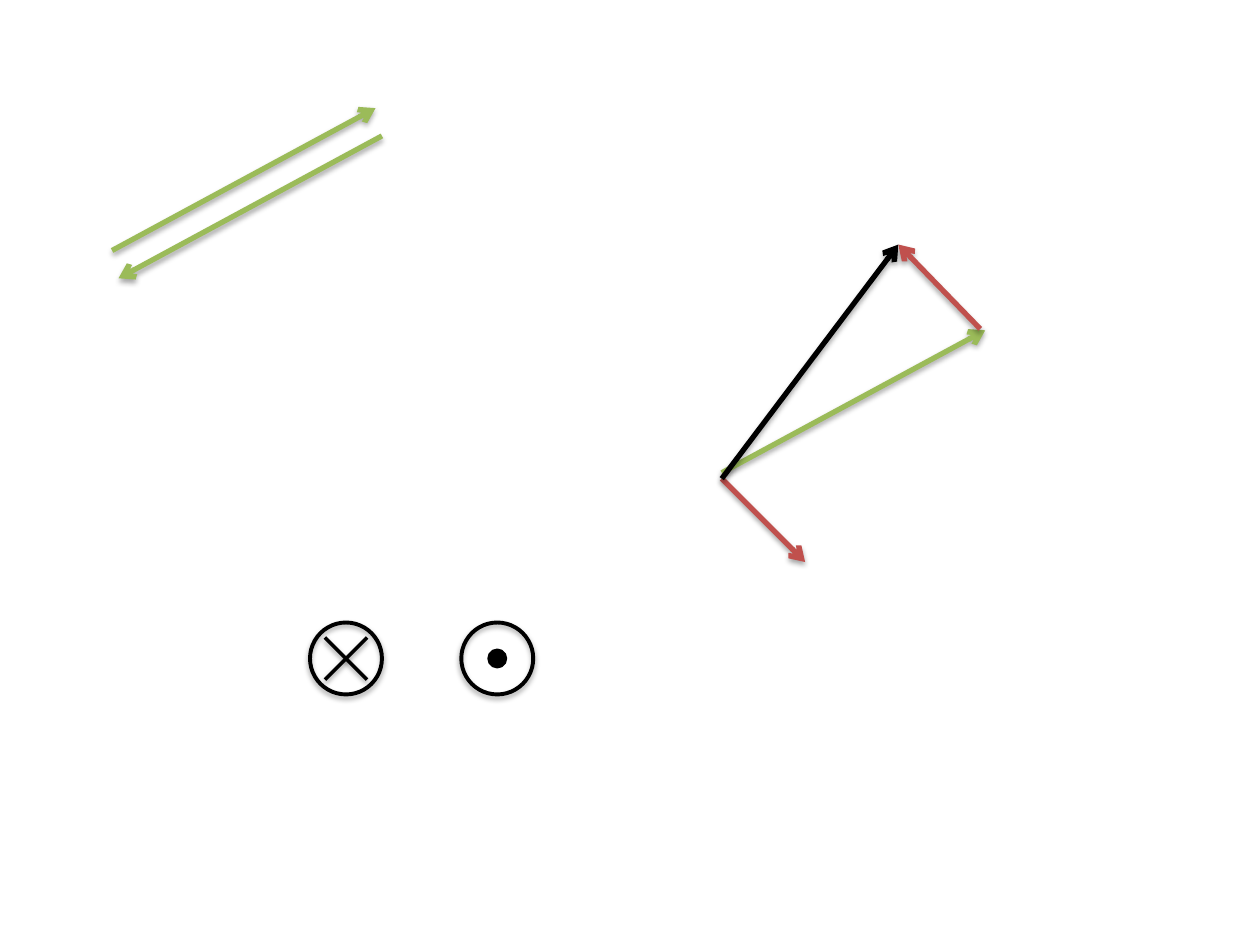
from dataclasses import dataclass

from lxml.etree import SubElement
from pptx import Presentation
from pptx.dml.color import RGBColor as Rgb
from pptx.enum.shapes import MSO_CONNECTOR as Connector, MSO_SHAPE as Preset
from pptx.oxml.ns import qn
from pptx.util import Cm, Inches, Pt


@dataclass(frozen=True)
class Theme:
    green: Rgb = Rgb(0x9B, 0xBB, 0x59)
    red: Rgb = Rgb(0xC0, 0x50, 0x4D)
    black: Rgb = Rgb(0, 0, 0)
    arrow_width: float = 3
    ring_width: float = 2.25
    mark_width: float = 2
    shadow_blur: float = 3.1
    shadow_drop: float = 1.8
    mark_shadow_drop: float = 1.6
    shadow_opacity: int = 35
    mark_shadow_opacity: int = 38


THEME = Theme()
GREEN_RUN, GREEN_RISE = 5.31, 2.87


def style_line(shape, color, width):
    shape.line.color.rgb = color
    shape.line.width = Pt(width)


def add_shadow(shape, drop=THEME.shadow_drop, opacity=THEME.shadow_opacity):
    properties = shape._element.spPr
    effects = properties.find(qn("a:effectLst"))
    if effects is None:
        effects = SubElement(properties, qn("a:effectLst"))
    shadow = SubElement(
        effects, qn("a:outerShdw"), blurRad=str(Pt(THEME.shadow_blur)),
        dist=str(Pt(drop)), dir="5400000", rotWithShape="0")
    color = SubElement(shadow, qn("a:srgbClr"), val=str(THEME.black))
    SubElement(color, qn("a:alpha"), val=str(opacity * 1000))


def add_line(shapes, start, end, color, width):
    line = shapes.add_connector(
        Connector.STRAIGHT, *(Cm(value) for value in (*start, *end)))
    style_line(line, color, width)
    return line


def add_arrow(shapes, start, end, color):
    arrow = add_line(shapes, start, end, color, THEME.arrow_width)
    outline = arrow._element.spPr.find(qn("a:ln"))
    SubElement(outline, qn("a:tailEnd"), type="arrow")
    add_shadow(arrow)


def add_circle(shapes, left, top, size, width):
    circle = shapes.add_shape(
        Preset.OVAL, Cm(left), Cm(top), Cm(size), Cm(size))
    circle.fill.background()
    style_line(circle, THEME.black, width)
    circle.shadow.inherit = False
    return circle


def add_opposite_vectors(shapes, left, top):
    shift_x, shift_y = 0.13, 0.56
    right, bottom = left + GREEN_RUN, top + GREEN_RISE
    add_arrow(shapes, (left, bottom), (right, top), THEME.green)
    add_arrow(shapes, (right + shift_x, top + shift_y),
              (left + shift_x, bottom + shift_y), THEME.green)


def add_vector_difference(shapes, left, top):
    origin = left, top + 4.72
    green_start = left, top + 4.6
    green_tip = left + GREEN_RUN, green_start[1] - GREEN_RISE
    result_tip = left + 3.56, top
    add_arrow(shapes, green_start, green_tip, THEME.green)
    add_arrow(shapes, origin, (left + 1.68, top + 6.4), THEME.red)
    add_arrow(shapes, origin, result_tip, THEME.black)
    add_arrow(shapes, (left + 5.21, top + 1.7), result_tip, THEME.red)


def add_ring(shapes, left, top, size):
    add_shadow(add_circle(shapes, left, top, size, THEME.ring_width))


def add_into_page_symbol(shapes, left, top, size):
    add_ring(shapes, left, top, size)
    inset = 0.3
    near_x, far_x = left + inset, left + size - inset
    near_y, far_y = top + inset, top + size - inset
    cross = shapes.add_group_shape().shapes
    for start_y, end_y in ((near_y, far_y), (far_y, near_y)):
        stroke = add_line(cross, (near_x, start_y), (far_x, end_y),
                          THEME.black, THEME.mark_width)
        add_shadow(stroke, THEME.mark_shadow_drop, THEME.mark_shadow_opacity)


def add_out_of_page_symbol(shapes, left, top, size):
    add_ring(shapes, left, top, size)
    dot_size = 0.33
    inset = (size - dot_size) / 2
    dot = add_circle(shapes, left + inset, top + inset, dot_size,
                     THEME.mark_width)
    dot.fill.solid()
    dot.fill.fore_color.rgb = THEME.black


def main():
    presentation = Presentation()
    presentation.slide_width = Inches(10)
    presentation.slide_height = Inches(7.5)
    slide = presentation.slides.add_slide(presentation.slide_layouts[6])
    shapes = slide.shapes
    add_opposite_vectors(shapes, 2.26, 2.18)
    add_vector_difference(shapes, 14.55, 4.93)
    add_into_page_symbol(shapes, 6.25, 12.55, 1.45)
    add_out_of_page_symbol(shapes, 9.3, 12.55, 1.45)
    presentation.save("out.pptx")


if __name__ == "__main__":
    main()
